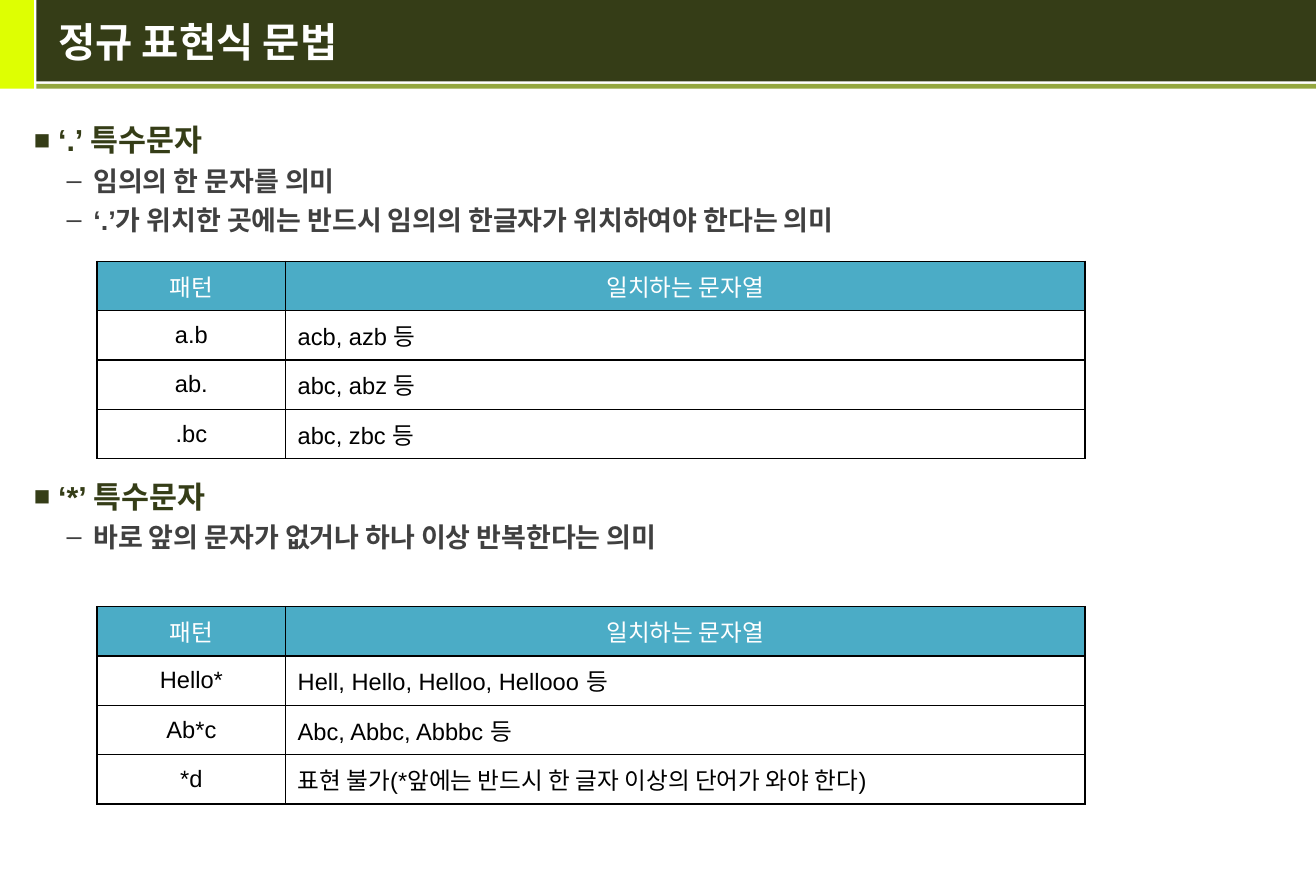
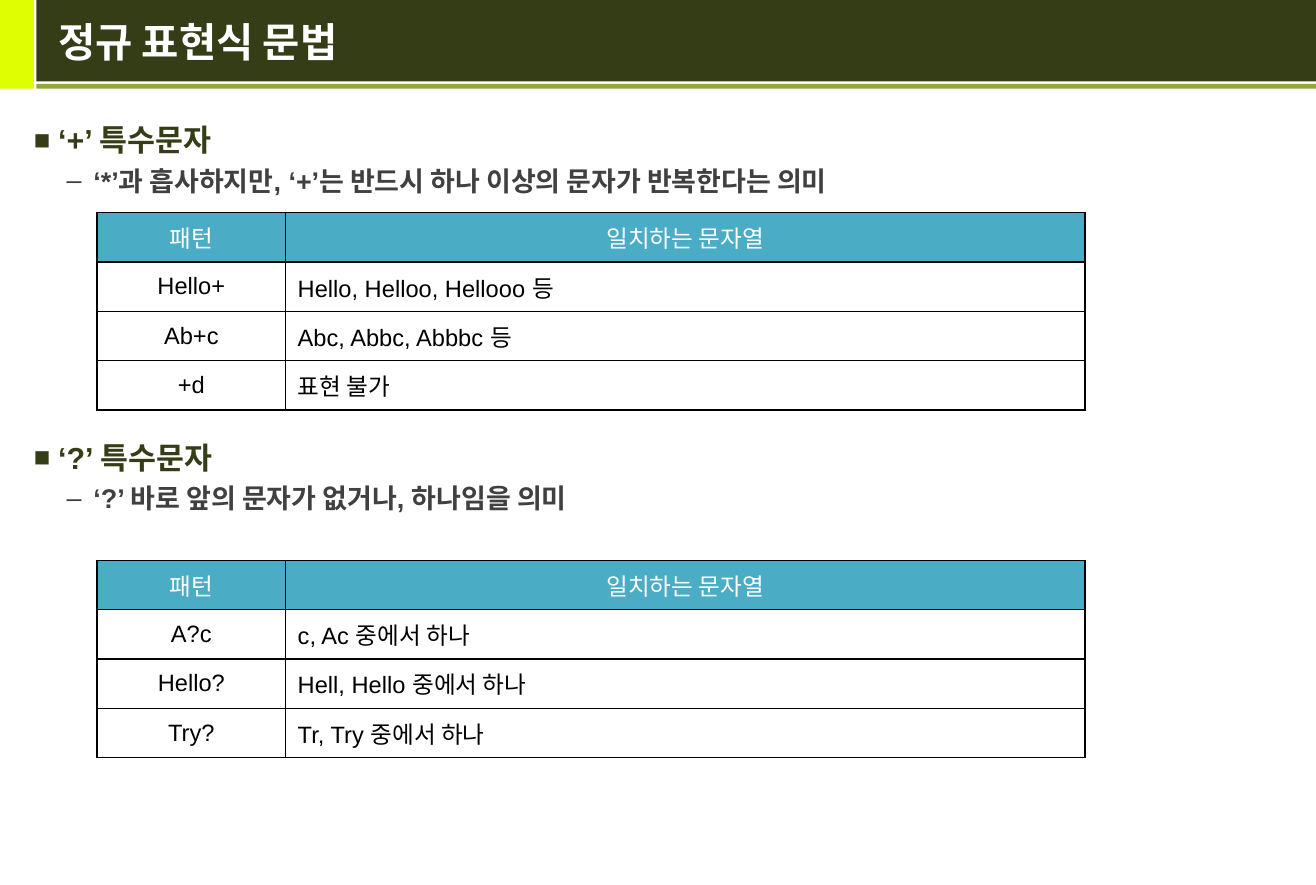
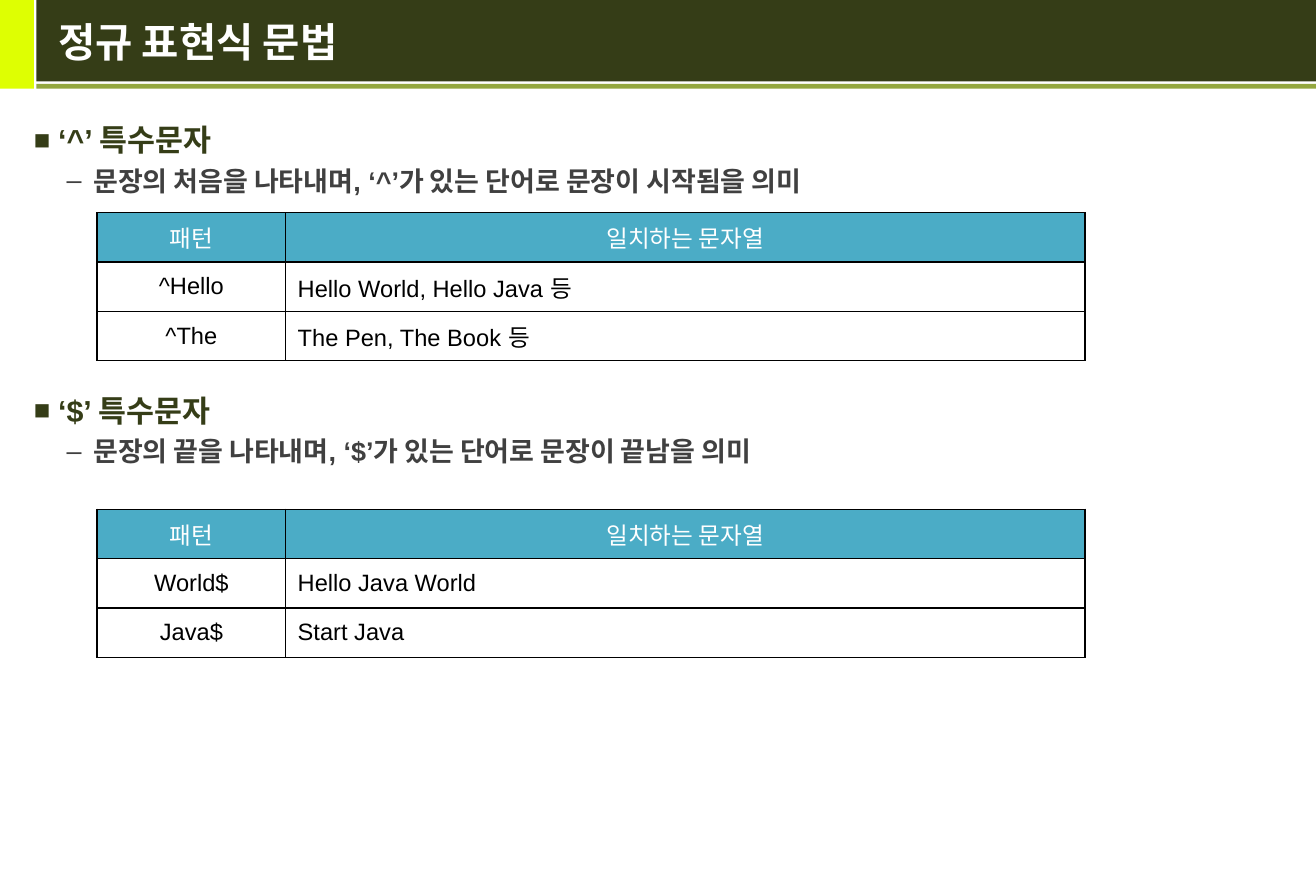
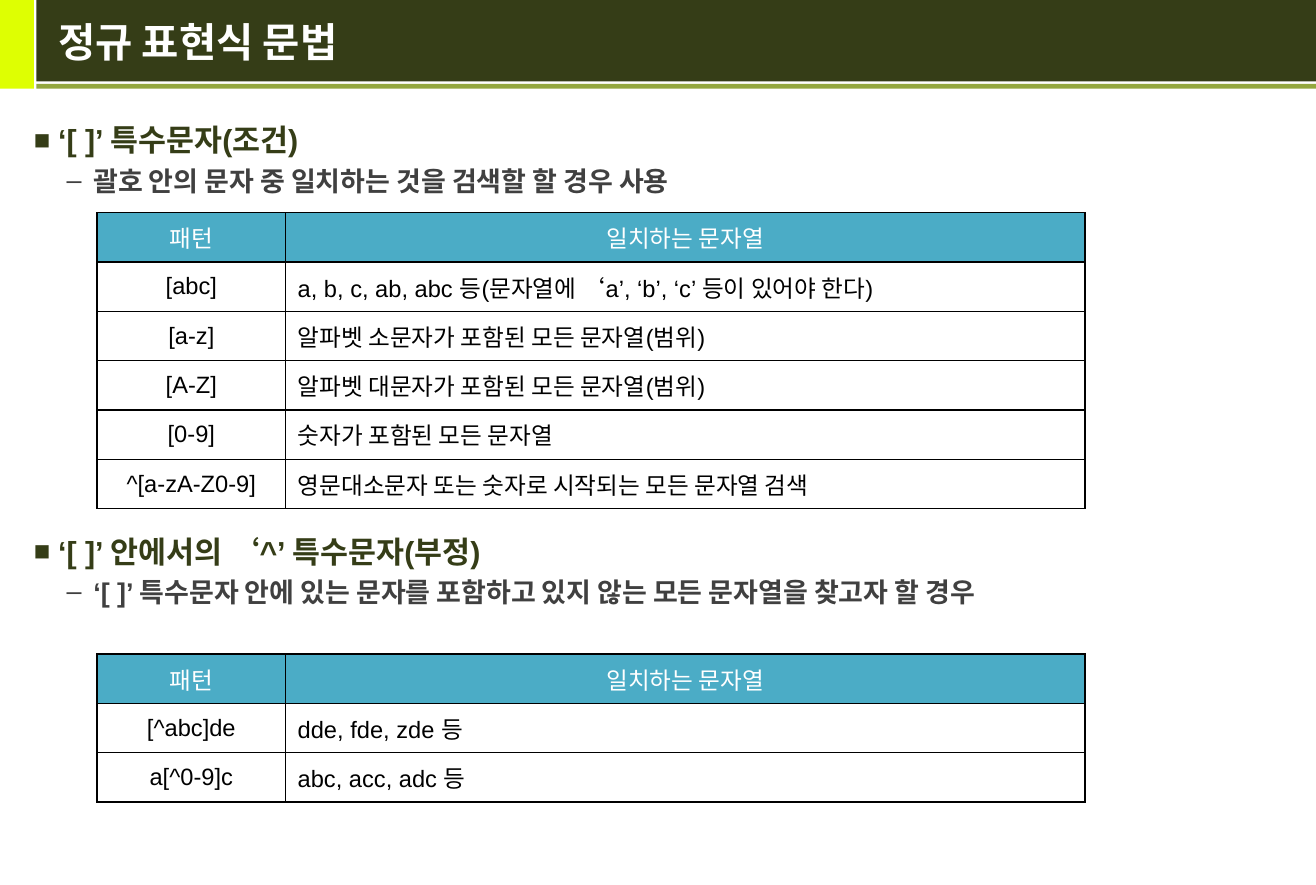
from dataclasses import dataclass

import lxml.etree
import pptx
import pptx.dml.color
import pptx.enum.shapes
import pptx.enum.text
import pptx.oxml.ns
import pptx.slide
import pptx.table
import pptx.text.text
import pptx.util

Inches = pptx.util.Inches
Pt = pptx.util.Pt
qn = pptx.oxml.ns.qn

COLORS = {
    "lime": "DEFF02",
    "olive": "353D17",
    "moss": "93A73F",
    "gray": "404040",
    "teal": "4BACC6",
    "white": "FFFFFF",
    "black": "000000",
}
LATIN_FONT = "Arial"
KOREAN_FONT = "Noto Sans CJK KR"
TITLE = "정규 표현식 문법"
TABLE_HEADER = ("패턴", "일치하는 문자열")
TABLE_LEFT = 0.8
COLUMN_WIDTHS = (1.55, 6.58)
ROW_HEIGHT = Pt(29.2)
TEXT_LINE = 27.8


@dataclass(frozen=True)
class Band:
    left: float
    top: float
    width: float
    height: float
    color: str


@dataclass(frozen=True)
class Bullet:
    mark: str
    size: int
    color: str
    margin: float
    hang: float
    mark_percent: int


@dataclass(frozen=True)
class Section:
    heading: str
    points: tuple[str, ...]
    table_top: float
    rows: tuple[tuple[str, str], ...]
    lines_above: int = 0


BANDS = (
    Band(0, 0, 0.28, 0.73, "lime"),
    Band(0.3, 0, 10.53, 0.67, "olive"),
    Band(0.3, 0.69, 10.53, 0.04, "moss"),
)
HEADING = Bullet("■", 18, "olive", 0.2, 0.2, 90)
POINT = Bullet("–", 16, "gray", 0.49, 0.22, 100)

PAGES = (
    (
        Section(
            "‘.’ 특수문자",
            ("임의의 한 문자를 의미", "‘.’가 위치한 곳에는 반드시 임의의 한글자가 위치하여야 한다는 의미"),
            2.15,
            (("a.b", "acb, azb 등"), ("ab.", "abc, abz 등"), (".bc", "abc, zbc 등")),
        ),
        Section(
            "‘*’ 특수문자",
            ("바로 앞의 문자가 없거나 하나 이상 반복한다는 의미",),
            4.99,
            (
                ("Hello*", "Hell, Hello, Helloo, Hellooo 등"),
                ("Ab*c", "Abc, Abbc, Abbbc 등"),
                ("*d", "표현 불가(*앞에는 반드시 한 글자 이상의 단어가 와야 한다)"),
            ),
            5,
        ),
    ),
    (
        Section(
            "‘+’ 특수문자",
            ("‘*’과 흡사하지만, ‘+’는 반드시 하나 이상의 문자가 반복한다는 의미",),
            1.75,
            (
                ("Hello+", "Hello, Helloo, Hellooo 등"),
                ("Ab+c", "Abc, Abbc, Abbbc 등"),
                ("+d", "표현 불가"),
            ),
        ),
        Section(
            "‘?’ 특수문자",
            ("‘?’ 바로 앞의 문자가 없거나, 하나임을 의미",),
            4.61,
            (
                ("A?c", "c, Ac 중에서 하나"),
                ("Hello?", "Hell, Hello 중에서 하나"),
                ("Try?", "Tr, Try 중에서 하나"),
            ),
            5,
        ),
    ),
    (
        Section(
            "‘^’ 특수문자",
            ("문장의 처음을 나타내며, ‘^’가 있는 단어로 문장이 시작됨을 의미",),
            1.75,
            (("^Hello", "Hello World, Hello Java 등"), ("^The", "The Pen, The Book 등")),
        ),
        Section(
            "‘$’ 특수문자",
            ("문장의 끝을 나타내며, ‘$’가 있는 단어로 문장이 끝남을 의미",),
            4.19,
            (("World$", "Hello Java World"), ("Java$", "Start Java")),
            4,
        ),
    ),
    (
        Section(
            "‘[ ]’ 특수문자(조건)",
            ("괄호 안의 문자 중 일치하는 것을 검색할 할 경우 사용",),
            1.75,
            (
                ("[abc]", "a, b, c, ab, abc 등(문자열에 ‘a’, ‘b’, ‘c’ 등이 있어야 한다)"),
                ("[a-z]", "알파벳 소문자가 포함된 모든 문자열(범위)"),
                ("[A-Z]", "알파벳 대문자가 포함된 모든 문자열(범위)"),
                ("[0-9]", "숫자가 포함된 모든 문자열"),
                ("^[a-zA-Z0-9]", "영문대소문자 또는 숫자로 시작되는 모든 문자열 검색"),
            ),
        ),
        Section(
            "‘[ ]’ 안에서의 ‘^’ 특수문자(부정)",
            ("‘[ ]’ 특수문자 안에 있는 문자를 포함하고 있지 않는 모든 문자열을 찾고자 할 경우",),
            5.38,
            (("[^abc]de", "dde, fde, zde 등"), ("a[^0-9]c", "abc, acc, adc 등")),
            7,
        ),
    ),
)


def rgb(name: str) -> pptx.dml.color.RGBColor:
    return pptx.dml.color.RGBColor.from_string(COLORS[name])


def write(
    para: pptx.text.text._Paragraph, text: str, size: int, color: str,
    bold: bool = False, font: str = LATIN_FONT,
) -> None:
    para.add_run().text = text
    para.font.size = Pt(size)
    para.font.bold = bold
    para.font.color.rgb = rgb(color)
    para.font.name = font
    defaults = para._p.pPr.find(qn("a:defRPr"))
    lxml.etree.SubElement(defaults, qn("a:ea"), typeface=KOREAN_FONT)


def add_bullet(para: pptx.text.text._Paragraph, bullet: Bullet) -> None:
    properties = para._p.pPr
    properties.set("marL", str(Inches(bullet.margin)))
    properties.set("indent", str(-Inches(bullet.hang)))
    defaults = properties.find(qn("a:defRPr"))
    for tag, name, value in (
        ("a:buClr", None, None),
        ("a:buSzPct", "val", str(bullet.mark_percent * 1000)),
        ("a:buFont", "typeface", LATIN_FONT),
        ("a:buChar", "char", bullet.mark),
    ):
        part = properties.makeelement(qn(tag), {name: value} if name else {})
        if tag == "a:buClr":
            lxml.etree.SubElement(part, qn("a:srgbClr"), val=COLORS[bullet.color])
        defaults.addprevious(part)


def add_text_frame(
    page: pptx.slide.Slide, left: float, top: float, width: float, height: float
) -> pptx.text.text.TextFrame:
    box = page.shapes.add_textbox(Inches(left), Inches(top), Inches(width), Inches(height))
    box.text_frame.word_wrap = True
    return box.text_frame


def add_header(page: pptx.slide.Slide) -> None:
    for band in BANDS:
        shape = page.shapes.add_shape(
            pptx.enum.shapes.MSO_SHAPE.RECTANGLE,
            Inches(band.left), Inches(band.top), Inches(band.width), Inches(band.height),
        )
        shape.shadow.inherit = False
        shape.fill.solid()
        shape.fill.fore_color.rgb = rgb(band.color)
        shape.line.fill.background()
    frame = add_text_frame(page, 0.38, 0, 10.32, 0.68)
    frame.vertical_anchor = pptx.enum.text.MSO_ANCHOR.MIDDLE
    write(frame.paragraphs[0], TITLE, 24, "white", True, KOREAN_FONT)


def add_body(page: pptx.slide.Slide, sections: tuple[Section, ...]) -> None:
    frame = add_text_frame(page, 0.18, 0.89, 10.35, 6.22)
    para = frame.paragraphs[0]
    for section in sections:
        lines = [(section.heading, HEADING, section.lines_above)]
        lines += [(point, POINT, 0) for point in section.points]
        for text, bullet, lines_above in lines:
            if para.runs:
                para = frame.add_paragraph()
            para.line_spacing = 1.2
            para.space_before = Pt(lines_above * TEXT_LINE)
            write(para, text, bullet.size, bullet.color, True)
            add_bullet(para, bullet)


def add_borders(cell: pptx.table._Cell) -> None:
    properties = cell._tc.get_or_add_tcPr()
    for side in ("L", "R", "T", "B"):
        line = lxml.etree.SubElement(properties, qn(f"a:ln{side}"), w=str(Pt(1)))
        fill = lxml.etree.SubElement(line, qn("a:solidFill"))
        lxml.etree.SubElement(fill, qn("a:srgbClr"), val=COLORS["black"])


def add_pattern_table(page: pptx.slide.Slide, section: Section) -> None:
    rows = (TABLE_HEADER, *section.rows)
    table = page.shapes.add_table(
        len(rows), len(COLUMN_WIDTHS), Inches(TABLE_LEFT), Inches(section.table_top),
        Inches(sum(COLUMN_WIDTHS)), ROW_HEIGHT * len(rows),
    ).table
    table.first_row = False
    table.horz_banding = False
    for column, width in zip(table.columns, COLUMN_WIDTHS):
        column.width = Inches(width)
    for row_index, row in enumerate(rows):
        is_header = row_index == 0
        for column_index, text in enumerate(row):
            cell = table.cell(row_index, column_index)
            cell.vertical_anchor = pptx.enum.text.MSO_ANCHOR.MIDDLE
            add_borders(cell)
            if is_header:
                cell.fill.solid()
                cell.fill.fore_color.rgb = rgb("teal")
            else:
                cell.fill.background()
            para = cell.text_frame.paragraphs[0]
            if is_header or column_index == 0:
                para.alignment = pptx.enum.text.PP_ALIGN.CENTER
            write(para, text, 14, "white" if is_header else "black")


deck = pptx.Presentation()
deck.slide_width = Inches(10.83)
deck.slide_height = Inches(7.28)
for sections in PAGES:
    page = deck.slides.add_slide(deck.slide_layouts[6])
    add_header(page)
    add_body(page, sections)
    for section in sections:
        add_pattern_table(page, section)
deck.save("out.pptx")
